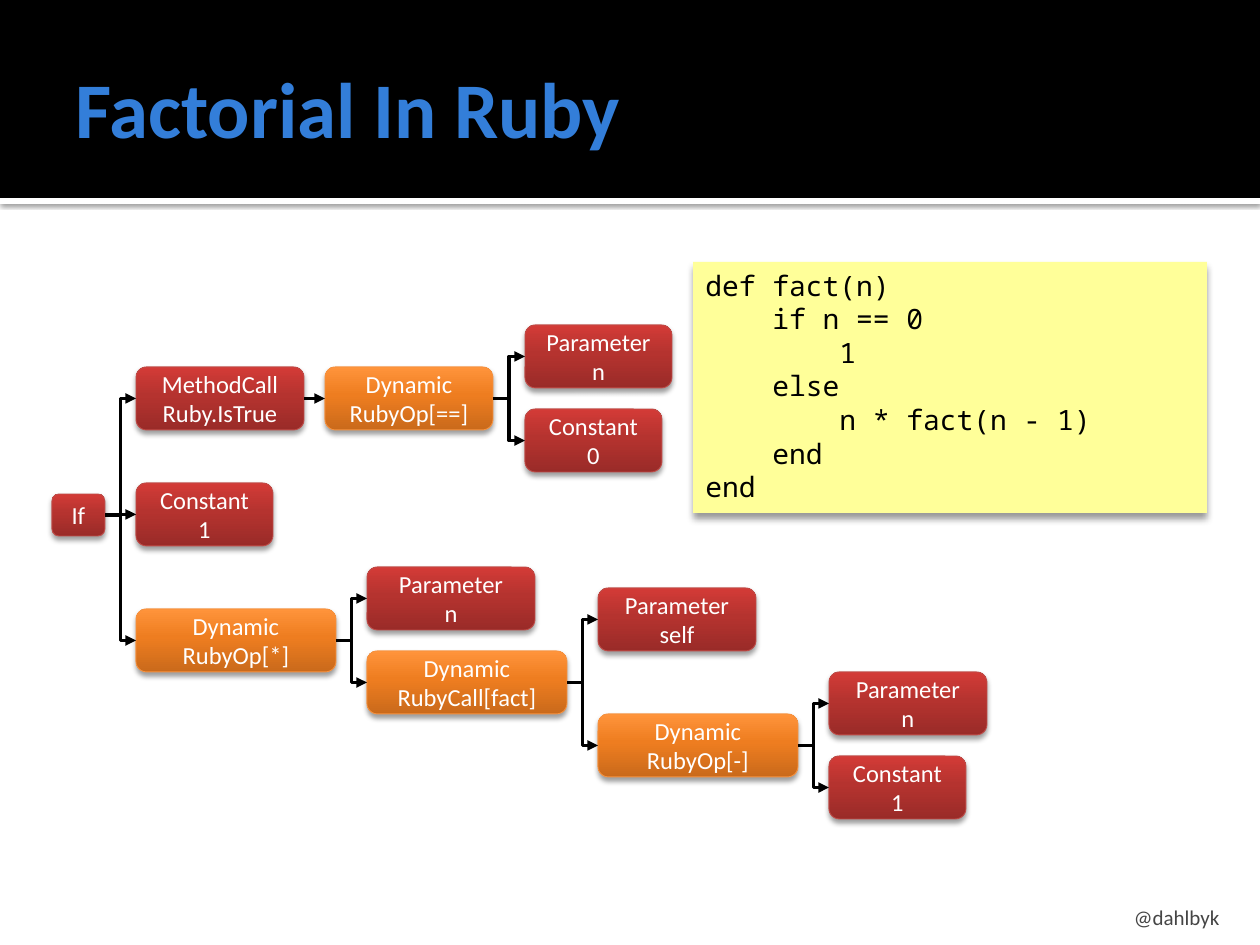
from copy import deepcopy
from lxml.etree import SubElement as Sub
from pptx import Presentation
from pptx.dml.color import RGBColor as RGB
from pptx.enum.shapes import MSO_CONNECTOR as LINE, MSO_SHAPE as SHAPE
from pptx.enum.text import MSO_ANCHOR as ANCHOR, PP_ALIGN as ALIGN
from pptx.oxml.ns import qn
from pptx.util import Emu, Pt

SCALE = 914400 // 126
BLACK, WHITE = RGB(0, 0, 0), RGB(255, 255, 255)
BLUE, GREY, YELLOW = RGB(0x33, 0x7E, 0xD9), RGB(0x45, 0x45, 0x45), RGB(255, 255, 0x99)
RED = ([RGB(0x9A, 0x2B, 0x28), RGB(0xB5, 0x33, 0x2F), RGB(0xD3, 0x3B, 0x37)],
       RGB(0xBF, 0x4C, 0x48))
ORANGE = ([RGB(0xCA, 0x6A, 0x1B), RGB(0xEE, 0x7D, 0x20), RGB(0xFF, 0x94, 0x3B)],
          RGB(0xF6, 0x92, 0x40))
STOPS = (0, 0.55, 1)
TITLE = "Factorial In Ruby"
HANDLE = "@dahlbyk"
SANS, MONO = "Calibri", "Noto Sans Mono"
INDENT = 67

# (indent level, text)
CODE = [(0, "def fact(n)"), (1, "if n == 0"), (2, "1"), (1, "else"),
        (2, "n * fact(n - 1)"), (1, "end"), (0, "end")]

# key: (lines, (left, top, width, height), palette)
NODES = {
    "if": (["If"], (52, 494, 53, 42), RED),
    "test": (["MethodCall", "Ruby.IsTrue"], (136, 367, 168, 63), RED),
    "then": (["Constant", "1"], (136, 483, 137, 63), RED),
    "times": (["Dynamic", "RubyOp[*]"], (136, 609, 200, 63), ORANGE),
    "equal": (["Dynamic", "RubyOp[==]"], (325, 367, 168, 63), ORANGE),
    "left": (["Parameter", "n"], (525, 325, 147, 63), RED),
    "zero": (["Constant", "0"], (525, 409, 137, 63), RED),
    "factor": (["Parameter", "n"], (367, 567, 168, 63), RED),
    "call": (["Dynamic", "RubyCall[fact]"], (367, 651, 200, 63), ORANGE),
    "self": (["Parameter", "self"], (598, 588, 158, 63), RED),
    "minus": (["Dynamic", "RubyOp[-]"], (598, 714, 200, 63), ORANGE),
    "right": (["Parameter", "n"], (829, 672, 158, 63), RED),
    "one": (["Constant", "1"], (829, 756, 137, 63), RED),
}
TREE = {"if": ["test", "then", "times"], "test": ["equal"],
        "equal": ["left", "zero"], "times": ["factor", "call"],
        "call": ["self", "minus"], "minus": ["right", "one"]}


def px(*vals):
    """Turn pixels into EMU."""
    return [Emu(v * SCALE) for v in vals]


def shade(shape, alpha, blur, dist):
    """Give a shape a soft black shadow that falls straight down."""
    shape.shadow.inherit = False
    glow = Sub(shape.element.find(".//" + qn("a:effectLst")), qn("a:outerShdw"),
               blurRad=str(Pt(blur)), dist=str(Pt(dist)), dir="5400000",
               algn="t", rotWithShape="0")
    color = Sub(glow, qn("a:srgbClr"), val="000000")
    Sub(color, qn("a:alpha"), val=str(alpha * 1000))


def write(shape, lines, color, size, face=SANS, align=ALIGN.LEFT,
          anchor=ANCHOR.TOP, bold=False):
    """Fill a shape with (level, text) lines, one paragraph each."""
    frame = shape.text_frame
    frame.word_wrap = True
    frame.vertical_anchor = anchor
    for i, (level, text) in enumerate(lines):
        par = frame.add_paragraph() if i else frame.paragraphs[0]
        par.alignment = align
        if level:
            par._p.get_or_add_pPr().set("marL", str(level * INDENT * SCALE))
        run = par.add_run()
        run.text = text
        run.font.color.rgb = color
        for key, val in {"name": face, "size": Pt(size), "bold": bold}.items():
            setattr(run.font, key, val)


def block(box, color):
    """Add a plain filled rectangle."""
    shape = slide.shapes.add_shape(SHAPE.RECTANGLE, *px(*box))
    shape.shadow.inherit = False
    shape.fill.solid()
    shape.fill.fore_color.rgb = color
    shape.line.fill.background()
    return shape


def node(lines, box, look):
    """Add a rounded tree node with a gradient."""
    shape = slide.shapes.add_shape(SHAPE.ROUNDED_RECTANGLE, *px(*box))
    tones, edge = look
    shape.fill.gradient()
    shape.fill.gradient_angle = 90
    stops = shape.element.find(".//" + qn("a:gsLst"))
    stops.append(deepcopy(stops[-1]))
    for stop, pos, tone in zip(shape.fill.gradient_stops, STOPS, tones):
        stop.position = pos
        stop.color.rgb = tone
    shape.line.color.rgb = edge
    shape.line.width = Pt(0.5)
    shade(shape, 38, 3.1, 2)
    write(shape, [(0, t) for t in lines], WHITE, 14,
          align=ALIGN.CENTER, anchor=ANCHOR.MIDDLE)
    return shape


def link(start, end):
    """Join the right side of one node to the left side of another."""
    kind = LINE.STRAIGHT if start.top == end.top else LINE.ELBOW
    line = slide.shapes.add_connector(kind, 0, 0, 0, 0)
    line.begin_connect(start, 3)
    line.end_connect(end, 1)
    line.line.color.rgb = BLACK
    line.line.width = Pt(2)
    Sub(line.line._get_or_add_ln(), qn("a:tailEnd"), type="triangle")
    Sub(line.element.spPr, qn("a:effectLst"))


deck = Presentation()
deck.slide_width, deck.slide_height = px(1260, 945)
slide = deck.slides.add_slide(deck.slide_layouts[5])

shade(block((0, 198, 1260, 6), WHITE), 60, 2.5, 0.8)
block((0, 0, 1260, 198), BLACK)

title = slide.shapes.title
slide.shapes._spTree.append(title.element)
title.left, title.top, title.width, title.height = px(63, 21, 1134, 173)
write(title, [(0, TITLE)], BLUE, 45, anchor=ANCHOR.MIDDLE, bold=True)

code = block((693, 262, 514, 251), YELLOW)
shade(code, 40, 4, 3)
write(code, CODE, BLACK, 16, MONO)

nodes = {key: node(*data) for key, data in NODES.items()}
for root, kids in TREE.items():
    for kid in kids:
        link(nodes[root], nodes[kid])

foot = slide.shapes.add_textbox(*px(903, 892, 329, 38))
foot.text_frame.margin_bottom = 0
write(foot, [(0, HANDLE)], GREY, 12, align=ALIGN.RIGHT, anchor=ANCHOR.BOTTOM)

deck.save("out.pptx")
